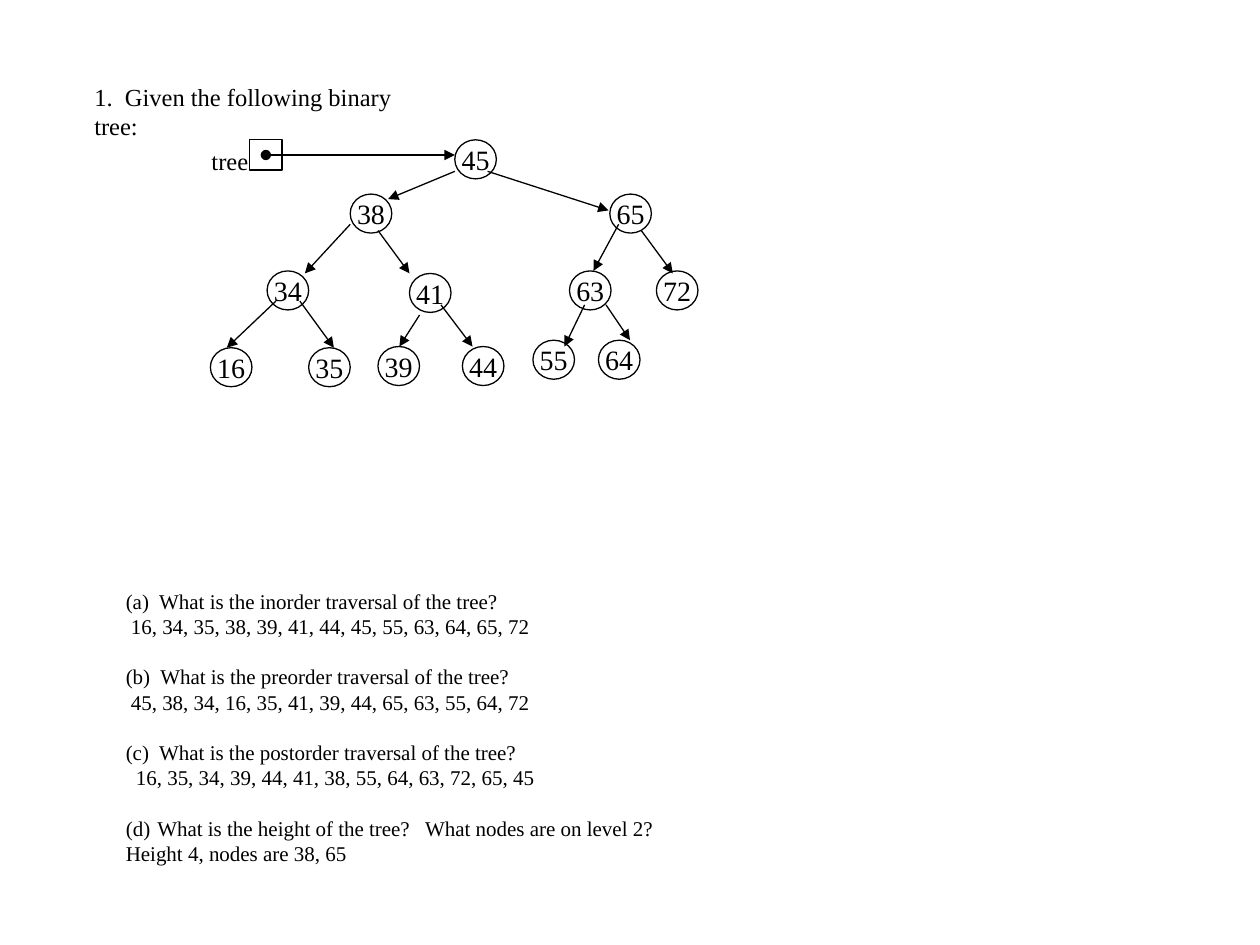
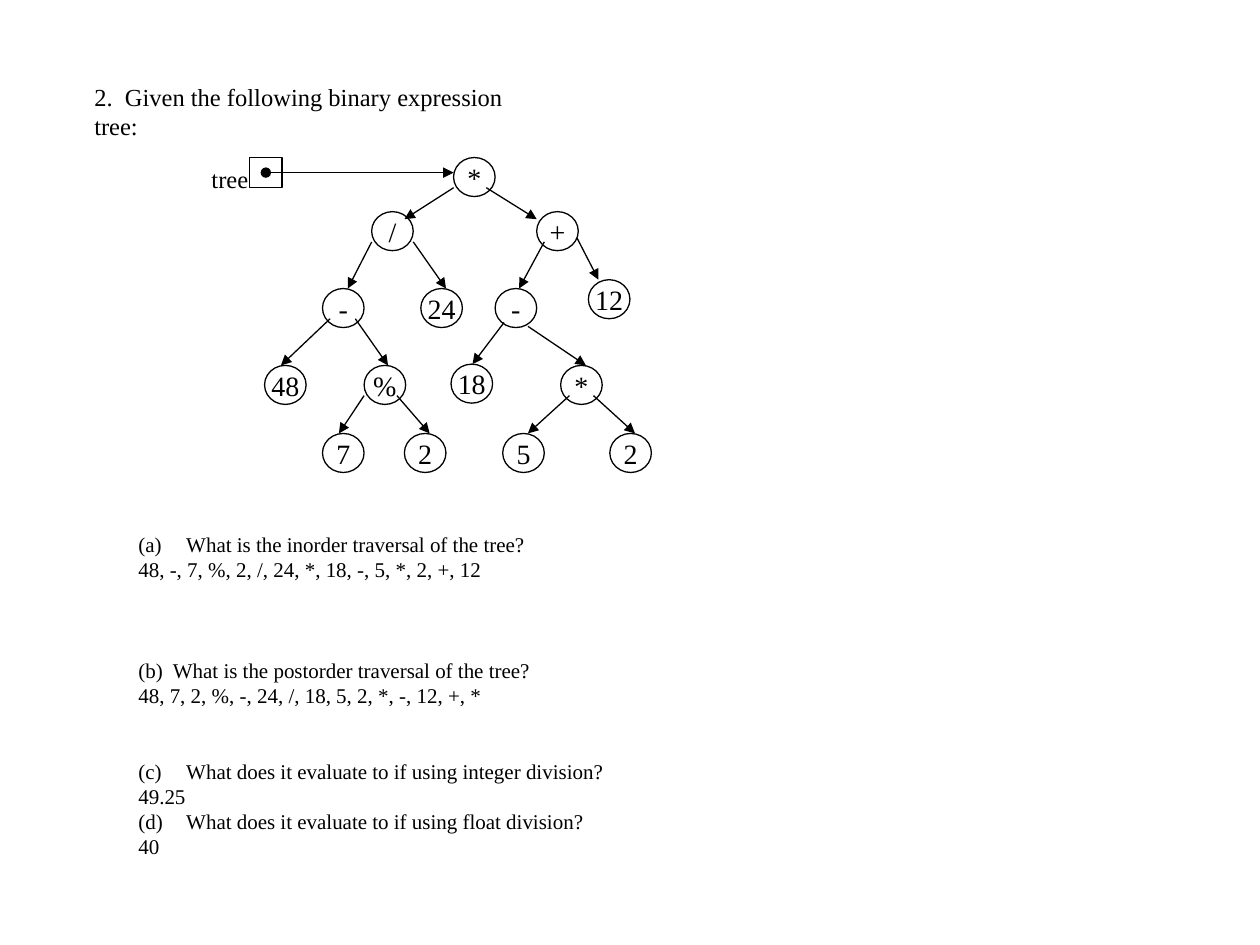
from lxml import etree
from pptx import Presentation
from pptx import util as u
from pptx.dml.color import RGBColor
from pptx.enum import shapes, text
from pptx.oxml import ns

FONT = "Times New Roman"
INK = "000000"
TITLE_SIZE, QUESTION_SIZE, NODE_SIZE = 14, 12, 16
LINE_PITCH = 1.2
LINE_WIDTH = 0.75
NODE_WIDTH, NODE_HEIGHT = 0.33, 0.31
POINTER_LEFT, POINTER_WIDTH, POINTER_HEIGHT = 0.4, 0.26, 0.24


def colour(value):
    return RGBColor.from_string(value)


def add_tag(parent, tag, **attributes):
    return etree.SubElement(parent, ns.qn(tag), attributes)


def style_paragraph(para, size):
    para.line_spacing = u.Pt(size * LINE_PITCH)
    para.font.name = FONT
    para.font.size = u.Pt(size)
    para.font.color.rgb = colour(INK)


def add_text_box(parent, left, top, width, height, wrap=True):
    box = parent.add_textbox(*map(u.Inches, (left, top, width, height)))
    box.text_frame.word_wrap = wrap
    return box.text_frame


def add_label(parent, left, top, width, height, words, wrap=True):
    frame = add_text_box(parent, left, top, width, height, wrap)
    para = frame.paragraphs[0]
    para.text = words
    style_paragraph(para, TITLE_SIZE)


def add_outline(parent, kind, left, top, width, height):
    shape = parent.add_shape(kind, *map(u.Inches, (left, top, width, height)))
    shape.shadow.inherit = False
    shape.fill.background()
    shape.line.color.rgb = colour(INK)
    shape.line.width = u.Pt(LINE_WIDTH)
    return shape


def add_node(parent, left, top, label):
    node = add_outline(parent, shapes.MSO_SHAPE.OVAL, left, top, NODE_WIDTH, NODE_HEIGHT)
    frame = node.text_frame
    frame.word_wrap = False
    frame.margin_left = frame.margin_right = frame.margin_top = frame.margin_bottom = 0
    frame.vertical_anchor = text.MSO_ANCHOR.MIDDLE
    para = frame.paragraphs[0]
    para.text = label
    para.alignment = text.PP_ALIGN.CENTER
    style_paragraph(para, NODE_SIZE)


def add_arrow(parent, start, end, dotted=False):
    arrow = parent.add_connector(
        shapes.MSO_CONNECTOR.STRAIGHT, *map(u.Inches, (*start, *end)))
    arrow.line.color.rgb = colour(INK)
    arrow.line.width = u.Pt(LINE_WIDTH)
    line = arrow.line._get_or_add_ln()
    if dotted:
        add_tag(line, "a:headEnd", type="oval")
    add_tag(line, "a:tailEnd", type="triangle")
    add_tag(arrow._element.spPr, "a:effectLst")


def add_tree(page, left, top, root, children):
    parts = page.shapes.add_group_shape().shapes

    def place(point):
        return left + point[0], top + point[1]

    root_label, root_left = root
    add_node(parts, *place((root_left, 0)), root_label)
    for label, corner, start, end in children:
        add_node(parts, *place(corner), label)
        add_arrow(parts, place(start), place(end))
    add_outline(parts, shapes.MSO_SHAPE.RECTANGLE, *place((POINTER_LEFT, 0)),
                POINTER_WIDTH, POINTER_HEIGHT)
    add_label(parts, left, top, 0.49, 0.33, "tree", wrap=False)
    middle = POINTER_HEIGHT / 2
    add_arrow(parts, place((POINTER_LEFT + POINTER_WIDTH / 2, middle)),
              place((root_left, middle)), dotted=True)


def add_questions(page, left, top, width, height, lines):
    frame = add_text_box(page.shapes, left, top, width, height)
    for index, (words, gap, indent, number) in enumerate(lines):
        para = frame.add_paragraph() if index else frame.paragraphs[0]
        para.text = words
        props = para._p.get_or_add_pPr()
        props.set("marL", str(u.Inches(indent)))
        if number:
            props.set("indent", str(-u.Inches(indent)))
            add_tag(props, "a:buAutoNum", type="alphaLcParenBoth", startAt=str(number))
        para.space_before = u.Pt(gap * QUESTION_SIZE * LINE_PITCH)
        style_paragraph(para, QUESTION_SIZE)


def add_exercise(deck, title, title_width, tree_top, root, children, question_box, lines):
    page = deck.slides.add_slide(deck.slide_layouts[6])
    add_label(page.shapes, 0.65, 0.6, title_width, 0.57, title)
    add_questions(page, *question_box, lines)
    add_tree(page, 1.58, tree_top, root, children)


SEARCH_TREE = [
    ("38", (1.20, 0.43), (2.03, 0.25), (1.50, 0.47)),
    ("65", (3.26, 0.43), (2.29, 0.25), (3.25, 0.56)),
    ("34", (0.54, 1.04), (1.20, 0.67), (0.84, 1.06)),
    ("41", (1.67, 1.06), (1.42, 0.72), (1.67, 1.06)),
    ("63", (2.94, 1.04), (3.33, 0.67), (3.13, 1.04)),
    ("72", (3.63, 1.04), (3.51, 0.72), (3.76, 1.06)),
    ("16", (0.09, 1.65), (0.61, 1.28), (0.22, 1.65)),
    ("35", (0.87, 1.65), (0.80, 1.28), (1.07, 1.65)),
    ("39", (1.42, 1.64), (1.75, 1.39), (1.59, 1.64)),
    ("44", (2.09, 1.64), (1.92, 1.31), (2.17, 1.64)),
    ("55", (2.65, 1.59), (3.06, 1.31), (2.90, 1.64)),
    ("64", (3.17, 1.59), (3.23, 1.31), (3.42, 1.59)),
]
SEARCH_QUESTIONS = [
    ("(a)  What is the inorder traversal of the tree?", 0, 0, 0),
    ("16, 34, 35, 38, 39, 41, 44, 45, 55, 63, 64, 65, 72", 0, 0.04, 0),
    ("(b)  What is the preorder traversal of the tree?", 1, 0, 0),
    ("45, 38, 34, 16, 35, 41, 39, 44, 65, 63, 55, 64, 72", 0, 0.04, 0),
    ("(c)  What is the postorder traversal of the tree?", 1, 0, 0),
    ("16, 35, 34, 39, 44, 41, 38, 55, 64, 63, 72, 65, 45", 0, 0.08, 0),
    ("What is the height of the tree?   What nodes are on level 2?", 1, 0.25, 4),
    ("Height 4, nodes are 38, 65", 0, 0, 0),
]
EXPRESSION_TREE = [
    ("/", (1.37, 0.43), (2.02, 0.24), (1.63, 0.49)),
    ("+", (2.68, 0.43), (2.28, 0.24), (2.68, 0.49)),
    ("-", (0.98, 1.04), (1.37, 0.67), (1.18, 1.04)),
    ("24", (1.76, 1.04), (1.70, 0.67), (1.96, 1.04)),
    ("-", (2.35, 1.04), (2.74, 0.67), (2.54, 1.04)),
    ("12", (3.09, 0.97), (3.00, 0.64), (3.17, 0.97)),
    ("48", (0.52, 1.65), (1.04, 1.28), (0.65, 1.65)),
    ("%", (1.31, 1.65), (1.24, 1.28), (1.50, 1.65)),
    ("18", (2.00, 1.64), (2.42, 1.31), (2.17, 1.64)),
    ("*", (2.87, 1.65), (2.61, 1.34), (3.07, 1.65)),
    ("7", (0.98, 2.19), (1.31, 1.89), (1.11, 2.19)),
    ("2", (1.63, 2.19), (1.57, 1.89), (1.83, 2.19)),
    ("5", (2.41, 2.19), (2.94, 1.89), (2.61, 2.19)),
    ("2", (3.26, 2.19), (3.13, 1.89), (3.46, 2.19)),
]
EXPRESSION_QUESTIONS = [
    ("What is the inorder traversal of the tree?", 0, 0.38, 1),
    ("48, -, 7, %, 2, /, 24, *, 18, -, 5, *, 2, +, 12", 0, 0, 0),
    ("(b)  What is the postorder traversal of the tree?", 3, 0, 0),
    ("48, 7, 2, %, -, 24, /, 18, 5, 2, *, -, 12, +, *", 0, 0, 0),
    ("What does it evaluate to if using integer division?", 2, 0.38, 3),
    ("49.25", 0, 0, 0),
    ("What does it evaluate to if using float division?", 0, 0.38, 4),
    ("40", 0, 0, 0),
]

deck = Presentation()
deck.slide_width, deck.slide_height = u.Inches(10), u.Inches(7.5)
add_exercise(deck, "1.  Given the following binary tree:", 2.9, 1.11, ("45", 2.03),
             SEARCH_TREE, (0.9, 4.62, 4.45, 2.32), SEARCH_QUESTIONS)
add_exercise(deck, "2.  Given the following binary expression tree:", 3.8, 1.25, ("*", 2.02),
             EXPRESSION_TREE, (1, 4.17, 3.94, 3.13), EXPRESSION_QUESTIONS)
deck.save("out.pptx")
